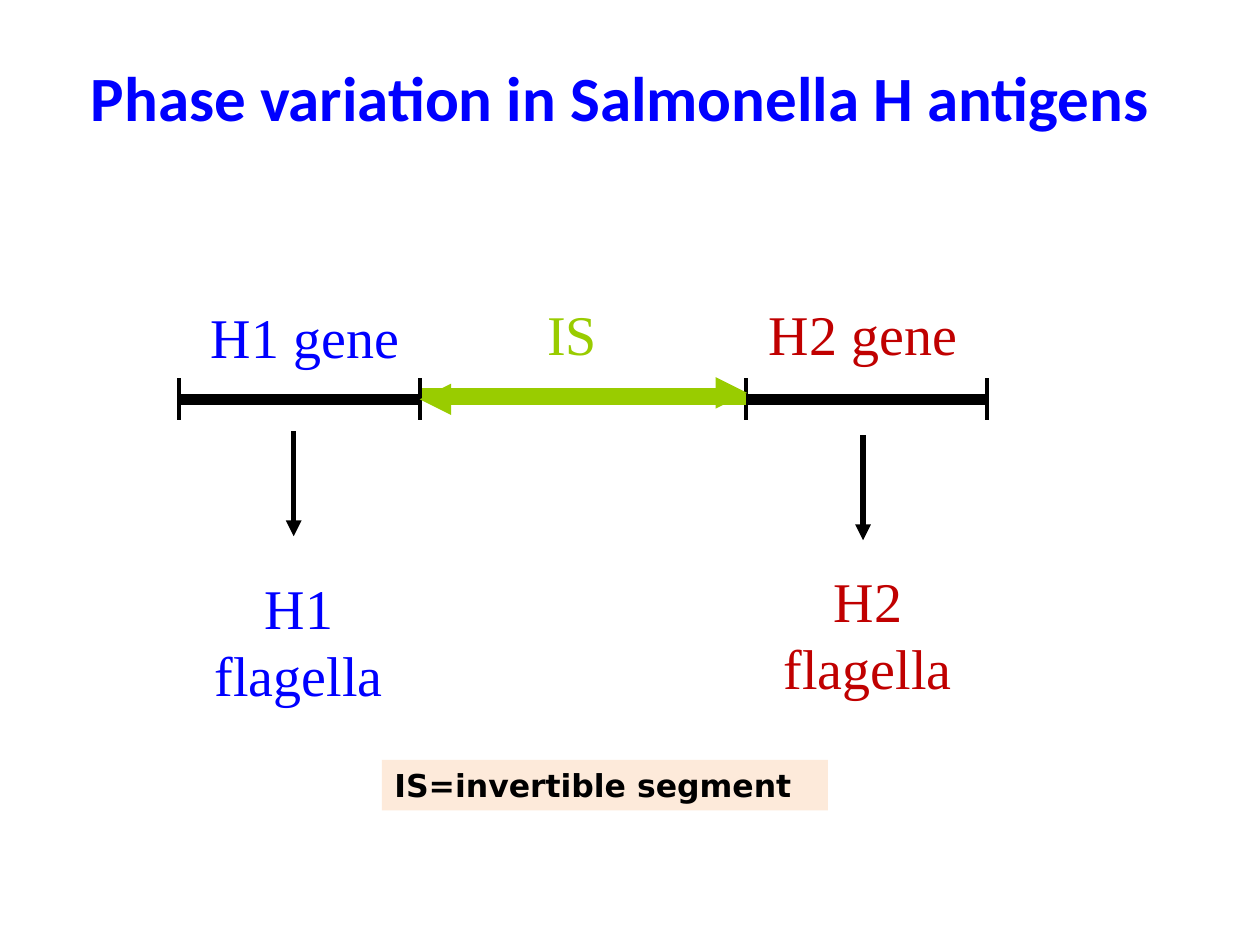
from lxml.etree import SubElement
from pptx import Presentation
from pptx.dml.color import RGBColor
from pptx.enum.shapes import MSO_CONNECTOR, MSO_SHAPE
from pptx.enum.text import MSO_ANCHOR, PP_ALIGN
from pptx.oxml.ns import qn
from pptx.util import Cm, Pt

BLUE = RGBColor(0x00, 0x00, 0xFF)
RED = RGBColor(0xC0, 0x00, 0x00)
GREEN = RGBColor(0x99, 0xCC, 0x00)
BLACK = RGBColor(0x00, 0x00, 0x00)
PEACH = RGBColor(0xFD, 0xEA, 0xDA)

deck = Presentation()
deck.slide_width, deck.slide_height = Cm(25.4), Cm(19.05)
page = deck.slides.add_slide(deck.slide_layouts[5])


def add_line(start, end, color, width, arrow=False):
    line = page.shapes.add_connector(
        MSO_CONNECTOR.STRAIGHT, *(Cm(value) for value in start + end))
    line.line.color.rgb = color
    line.line.width = Pt(width)
    if arrow:
        SubElement(line.line._get_or_add_ln(), qn("a:tailEnd"), type="triangle")
    SubElement(line._element.spPr, qn("a:effectLst"))


def add_label(text, left, top, width, height, color, wrap=True):
    box = page.shapes.add_textbox(Cm(left), Cm(top), Cm(width), Cm(height))
    box.text_frame.word_wrap = wrap
    para = box.text_frame.paragraphs[0]
    para.text = text
    para.alignment = PP_ALIGN.CENTER
    para.font.name = "Times New Roman"
    para.font.size = Pt(32)
    para.font.color.rgb = color


title = page.shapes.title
title.left, title.top, title.width, title.height = Cm(0.5), Cm(0.76), Cm(24), Cm(2.36)
title.text_frame.vertical_anchor = MSO_ANCHOR.MIDDLE
para = title.text_frame.paragraphs[0]
para.text = "Phase variation in Salmonella H antigens"
para.alignment = PP_ALIGN.CENTER
para.font.name = "Calibri"
para.font.size = Pt(36)
para.font.bold = True
para.font.color.rgb = BLUE

# Each gene is a bar with end ticks, and an arrow down to its flagella
gene_y = 8.05
gene_width = 4.85
genes = [
    # name, color, bar left, label left, label top, arrow x, arrow top, product left, product top
    ("H1", BLUE, 3.61, 3.99, 5.97, 5.92, 8.69, 4.02, 11.43),
    ("H2", RED, 15.04, 15.24, 5.92, 17.4, 8.77, 15.49, 11.3),
]
for (name, color, bar_left, label_left, label_top,
     arrow_x, arrow_top, product_left, product_top) in genes:
    bar_right = bar_left + gene_width
    add_label(f"{name} gene", label_left, label_top, 4.32, 1.6, color, wrap=False)
    add_line((bar_left, gene_y), (bar_right, gene_y), BLACK, 6)
    for tick_x in (bar_left, bar_right):
        add_line((tick_x, 7.62), (tick_x, 8.46), BLACK, 2.25)
    add_line((arrow_x, arrow_top), (arrow_x, arrow_top + 2.12), BLACK, 3, arrow=True)
    add_label(f"{name} flagella", product_left, product_top, 4.01, 2.97, color)

# Invertible segment, with one arrow for each direction
add_label("IS", 10.36, 5.92, 2.34, 1.6, GREEN)
add_line((15.04, gene_y), (8.46, gene_y), GREEN, 6, arrow=True)
add_line((8.51, 7.92), (15.06, 7.92), GREEN, 6, arrow=True)

legend = page.shapes.add_shape(
    MSO_SHAPE.RECTANGLE, Cm(7.7), Cm(15.32), Cm(8.99), Cm(1.02))
legend.shadow.inherit = False
legend.fill.solid()
legend.fill.fore_color.rgb = PEACH
legend.line.fill.background()
legend.text_frame.word_wrap = True
para = legend.text_frame.paragraphs[0]
para.text = "IS=invertible segment"
para.alignment = PP_ALIGN.LEFT
para.font.name = "DejaVu Sans"
para.font.size = Pt(18)
para.font.bold = True
para.font.color.rgb = BLACK

deck.save("out.pptx")
